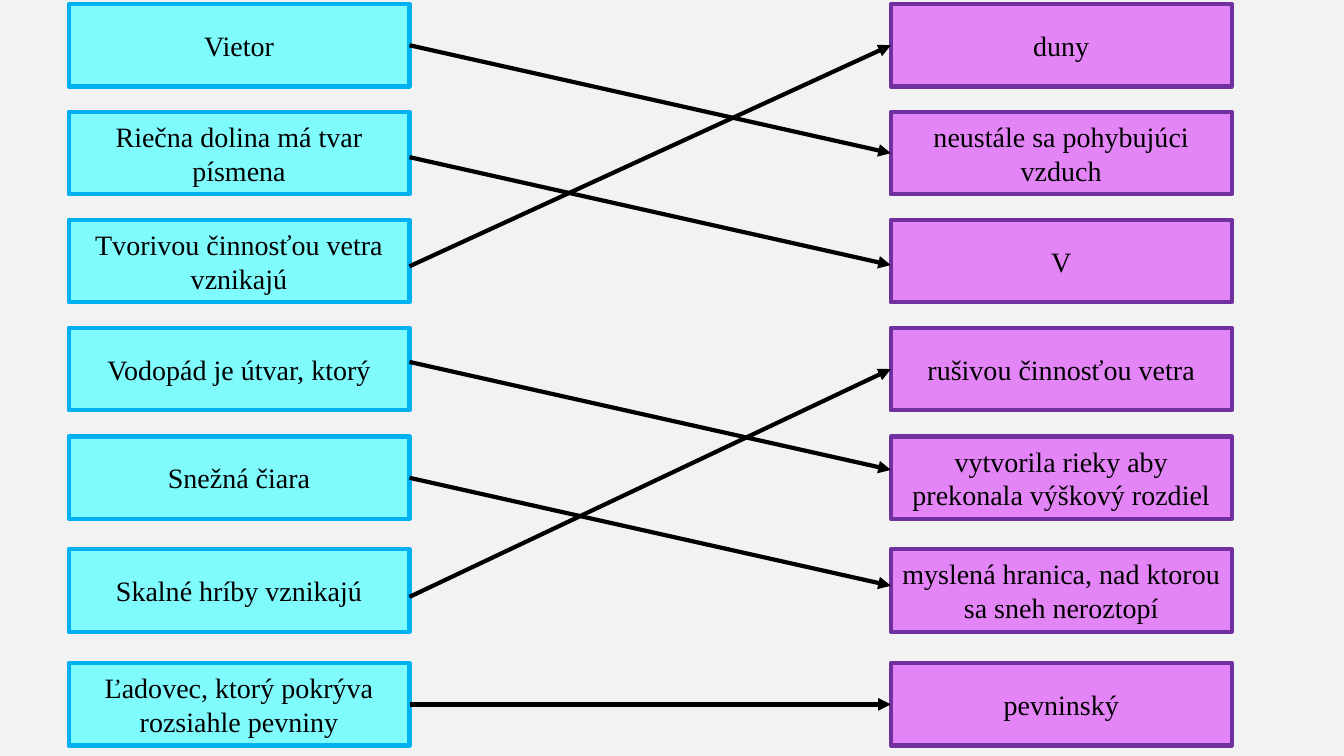
from lxml.etree import SubElement
from pptx import Presentation
from pptx.dml.color import RGBColor as RGB
from pptx.enum.shapes import MSO_CONNECTOR as CONN, MSO_SHAPE as SHAPE
from pptx.enum.text import MSO_ANCHOR, PP_ALIGN
from pptx.oxml.ns import qn
from pptx.util import Cm, Pt

COLORS = {
    "background": "F2F2F2", "ink": "000000",
    "term_fill": "7FFAFD", "term_line": "00B0F0",
    "answer_fill": "E485F7", "answer_line": "7030A0",
}
TERMS = [
    "Vietor",
    "Riečna dolina má tvar písmena",
    "Tvorivou činnosťou vetra vznikajú",
    "Vodopád je útvar, ktorý",
    "Snežná čiara",
    "Skalné hríby vznikajú",
    "Ľadovec, ktorý pokrýva rozsiahle pevniny",
]
ANSWERS = [
    "duny",
    "neustále sa pohybujúci vzduch",
    "V",
    "rušivou činnosťou vetra",
    "vytvorila rieky aby prekonala výškový rozdiel",
    "myslená hranica, nad ktorou sa sneh neroztopí",
    "pevninský",
]
# term row, answer row, start offset, end offset
MATCHES = [
    (0, 1, 0, 0), (6, 6, 0, 0), (2, 0, 0.13, 0), (5, 3, 0.16, 0),
    (3, 4, -0.18, -0.2), (4, 5, 0, -0.12), (1, 2, 0.1, 0.1),
]
TOPS = [0.1, 2.82, 5.54, 8.26, 11, 13.84, 16.71]
TERM_X, ANSWER_X, BOX_W, BOX_H = 1.73, 22.45, 8.59, 2.08
LINE_W = Pt(3)


def color(name):
    return RGB.from_string(COLORS[name])


def add_box(s, text, x, y, kind):
    sp = s.shapes.add_shape(SHAPE.RECTANGLE, Cm(x), Cm(y), Cm(BOX_W), Cm(BOX_H))
    sp.shadow.inherit = False
    sp.fill.solid()
    sp.fill.fore_color.rgb = color(kind + "_fill")
    sp.line.color.rgb = color(kind + "_line")
    sp.line.width = LINE_W
    tf = sp.text_frame
    tf.word_wrap = True
    tf.vertical_anchor = MSO_ANCHOR.MIDDLE
    p = tf.paragraphs[0]
    p.text = text
    p.alignment = PP_ALIGN.CENTER
    p.font.name = "Times New Roman"
    p.font.size = Pt(20)
    p.font.color.rgb = color("ink")
    return sp


def add_arrow(s, term, answer, start, end):
    y1 = term.top + term.height // 2 + Cm(start)
    y2 = answer.top + answer.height // 2 + Cm(end)
    c = s.shapes.add_connector(CONN.STRAIGHT, term.left + term.width, y1, answer.left, y2)
    if not start:
        c.begin_connect(term, 3)
    if not end:
        c.end_connect(answer, 1)
    c.line.color.rgb = color("ink")
    c.line.width = LINE_W
    SubElement(c.line._get_or_add_ln(), qn("a:tailEnd"), type="triangle")
    SubElement(c._element.spPr, qn("a:effectLst"))


def main():
    """Build the matching exercise with its solution arrows."""
    prs = Presentation()
    prs.slide_width, prs.slide_height = Cm(33.87), Cm(19.05)
    s = prs.slides.add_slide(prs.slide_layouts[6])
    s.background.fill.solid()
    s.background.fill.fore_color.rgb = color("background")
    terms = [add_box(s, t, TERM_X, y, "term") for t, y in zip(TERMS, TOPS)]
    answers = [add_box(s, t, ANSWER_X, y, "answer") for t, y in zip(ANSWERS, TOPS)]
    for term, answer, start, end in MATCHES:
        add_arrow(s, terms[term], answers[answer], start, end)
    prs.save("out.pptx")


if __name__ == "__main__":
    main()
